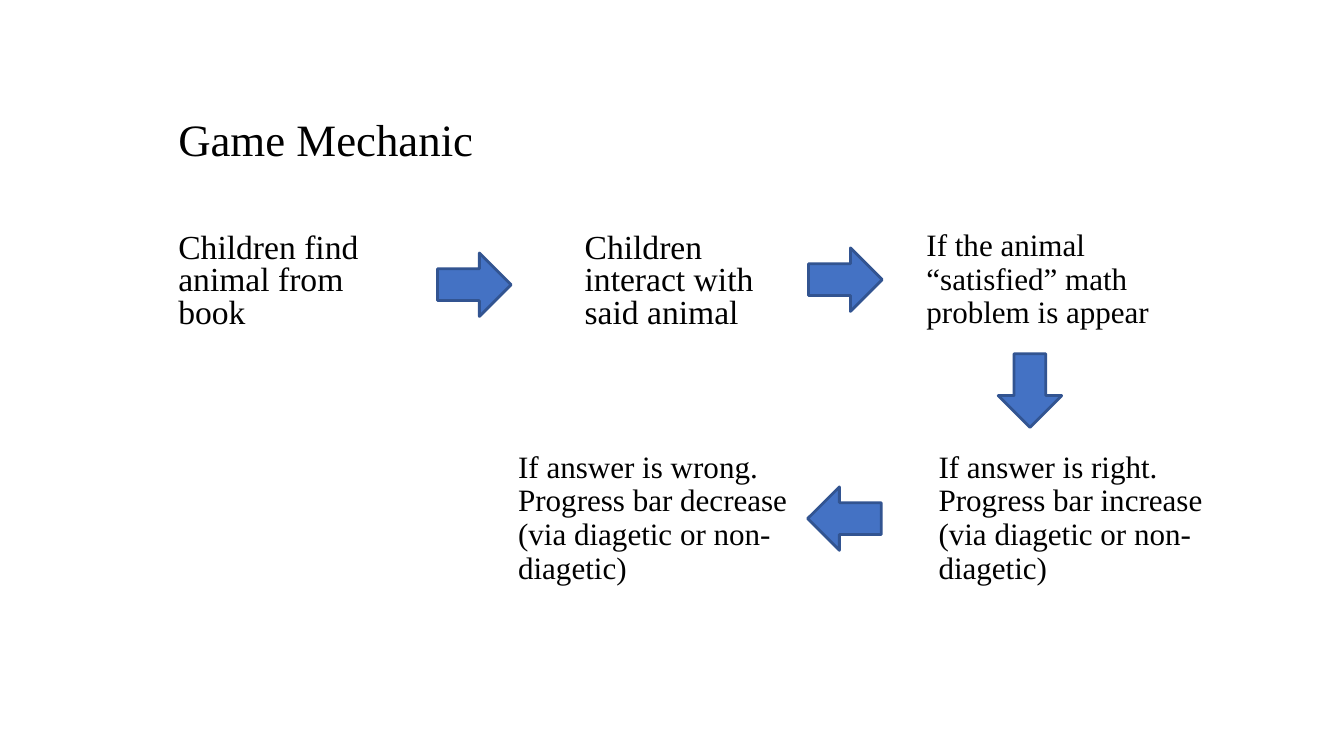
from pptx import Presentation
from pptx.dml.color import RGBColor
from pptx.enum.shapes import MSO_SHAPE as Shape
from pptx.enum.text import MSO_ANCHOR as Anchor, PP_ALIGN as Align
from pptx.util import Inches, Pt

# Content: text, (left, top, width, height), text style
TITLE = ("Game Mechanic", (1.67, 1.07, 10, 0.63), "title")
STEPS = [
    ("Children find animal from book", (1.67, 2.21, 2.32, 1.12), "action"),
    ("Children interact with said animal", (5.7, 2.21, 2.32, 1.12), "action"),
    ("If the animal “satisfied” math problem is appear",
     (9.09, 2.21, 2.58, 1.12), "condition"),
    ("If answer is right. Progress bar increase (via diagetic or non-diagetic)",
     (9.21, 4.42, 2.98, 1.44), "condition"),
    ("If answer is wrong. Progress bar decrease (via diagetic or non-diagetic)",
     (5.04, 4.42, 2.98, 1.44), "condition"),
]
# Arrows between steps: left, top, rotation
ARROWS = [(4.34, 2.51, 0), (8.02, 2.46, 0), (9.85, 3.56, 90), (8.01, 4.83, 180)]
ARROW_SIZE = (0.73, 0.63)

THEME = {
    "font": "Times New Roman",
    "text": RGBColor.from_string("000000"),
    "arrow": RGBColor.from_string("4472C4"),
    "outline": RGBColor.from_string("325491"),
    "outline_width": Pt(2),
    # size and line spacing
    "title": (Pt(32), 0.9),
    "action": (Pt(24), 0.8),
    "condition": (Pt(22.2), 0.9),
}
FRAME_FORMAT = {
    "word_wrap": True, "vertical_anchor": Anchor.BOTTOM,
    "margin_left": Inches(0.1), "margin_right": Inches(0.1),
    "margin_top": Inches(0.05), "margin_bottom": Inches(0.05),
}


def apply_format(target, values):
    for attribute, value in values.items():
        setattr(target, attribute, value)


def add_label(slide, wording, box, style):
    frame = slide.shapes.add_textbox(*map(Inches, box)).text_frame
    apply_format(frame, FRAME_FORMAT)
    size, spacing = THEME[style]
    paragraph = frame.paragraphs[0]
    apply_format(paragraph, {"line_spacing": spacing, "alignment": Align.LEFT})
    run = paragraph.add_run()
    run.text = wording
    apply_format(run.font, {"name": THEME["font"], "size": size})
    run.font.color.rgb = THEME["text"]


def add_arrow(slide, left, top, rotation):
    arrow = slide.shapes.add_shape(
        Shape.RIGHT_ARROW, *map(Inches, (left, top, *ARROW_SIZE)))
    arrow.rotation = rotation
    arrow.shadow.inherit = False
    arrow.fill.solid()
    arrow.fill.fore_color.rgb = THEME["arrow"]
    arrow.line.color.rgb = THEME["outline"]
    arrow.line.width = THEME["outline_width"]


def main():
    deck = Presentation()
    apply_format(deck, {"slide_width": Inches(13.33), "slide_height": Inches(7.5)})
    slide = deck.slides.add_slide(deck.slide_layouts[6])

    # Title and steps
    for label in [TITLE, *STEPS]:
        add_label(slide, *label)

    # Flow arrows
    for arrow in ARROWS:
        add_arrow(slide, *arrow)

    deck.save("out.pptx")


if __name__ == "__main__":
    main()
